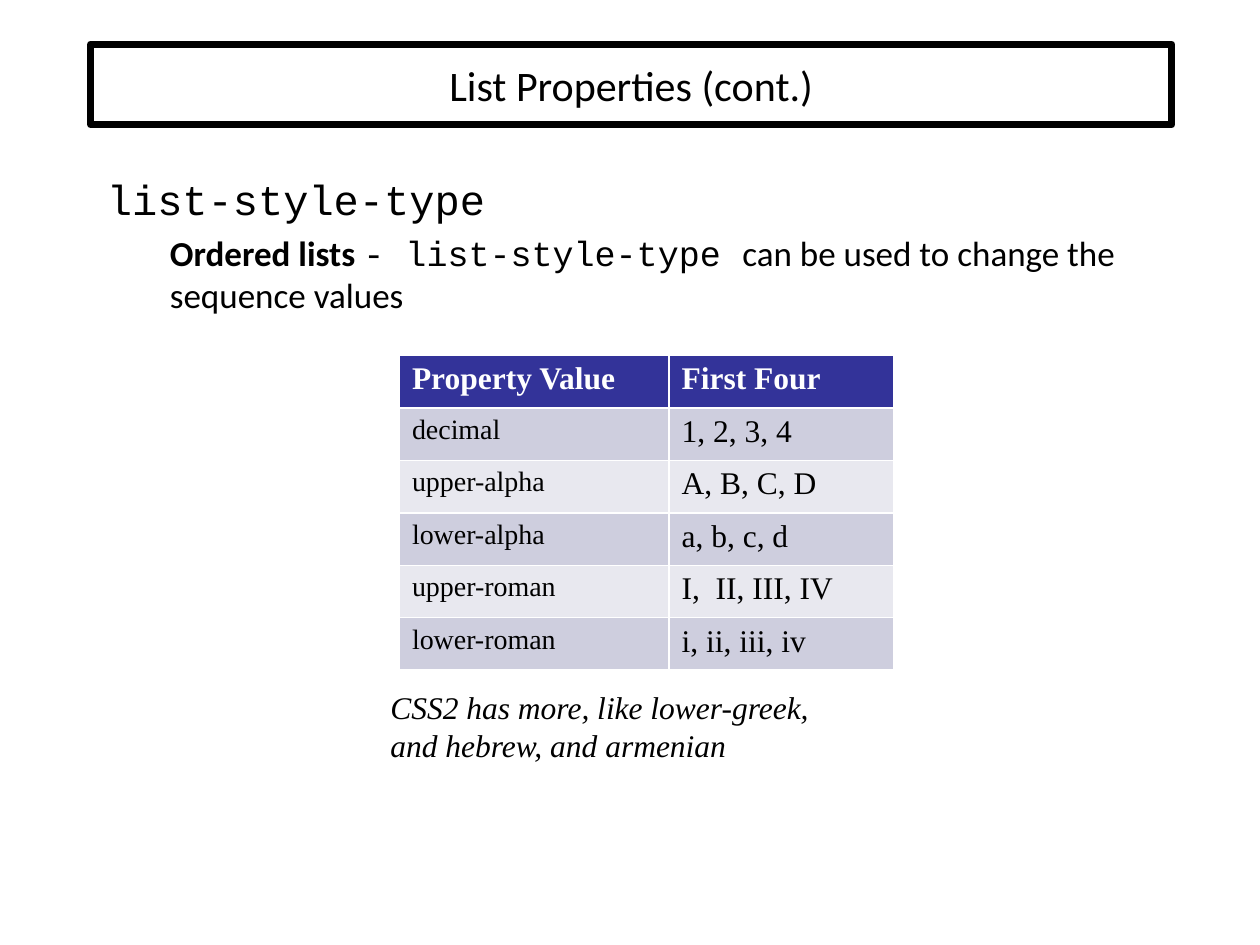
from pptx import Presentation
from pptx.dml.color import RGBColor
from pptx.enum.text import MSO_ANCHOR, PP_ALIGN
from pptx.util import Inches, Pt

# Content
TITLE = "List Properties (cont.)"
# Each paragraph: left indent in inches, size name, runs of (text, font name, bold)
BODY = [
    (0, "heading", [("list-style-type", "code", False)]),
    (0.5, "body", [
        ("Ordered lists ", "sans", True),
        ("- list-style-type ", "code", False),
        ("can be used to change the sequence values", "sans", False),
    ]),
]
VALUES = [
    ("Property Value", "First Four"),
    ("decimal", "1, 2, 3, 4"),
    ("upper-alpha", "A, B, C, D"),
    ("lower-alpha", "a, b, c, d"),
    ("upper-roman", "I,  II, III, IV"),
    ("lower-roman", "i, ii, iii, iv"),
]
FOOTNOTE = "CSS2 has more, like lower-greek, and hebrew, and armenian"

THEME = {
    "font": {"sans": "Calibri", "code": "Courier New", "serif": "Times New Roman"},
    "size": {"heading": 24, "body": 20, "table": 18, "keyword": 16},
    "color": {"ink": "000000", "paper": "FFFFFF", "header": "333399",
              "odd": "CECEDE", "even": "E8E8EF"},
}
COLUMN_WIDTHS = (2.14, 1.78)
ROW_HEIGHT = 2.5 / len(VALUES)


def color(name):
    return RGBColor.from_string(THEME["color"][name])


def style(run, font, size, ink="ink", bold=False, italic=False):
    run.font.name = THEME["font"][font]
    run.font.size = Pt(THEME["size"][size])
    run.font.color.rgb = color(ink)
    run.font.bold = bold
    run.font.italic = italic


def place(shape, left, top, width, height):
    shape.left, shape.top = Inches(left), Inches(top)
    shape.width, shape.height = Inches(width), Inches(height)


def add_text_box(slide, *box):
    frame = slide.shapes.add_textbox(*map(Inches, box)).text_frame
    frame.word_wrap = True
    return frame


def add_title(slide):
    title = slide.shapes.title
    place(title, 0.72, 0.35, 8.58, 0.64)
    title.fill.solid()
    title.fill.fore_color.rgb = color("paper")
    title.line.color.rgb = color("ink")
    title.line.width = Pt(4)
    title.text_frame.text = TITLE
    title.text_frame.vertical_anchor = MSO_ANCHOR.MIDDLE
    heading = title.text_frame.paragraphs[0]
    heading.alignment = PP_ALIGN.CENTER
    style(heading.runs[0], "sans", "heading")


def add_body(slide):
    frame = add_text_box(slide, 0.75, 1.33, 8.5, 4.5)
    for index, (indent, size, runs) in enumerate(BODY):
        paragraph = frame.add_paragraph() if index else frame.paragraphs[0]
        paragraph.space_before = Pt(0.2 * THEME["size"][size])
        paragraph._p.get_or_add_pPr().set("marL", str(Inches(indent)))
        for text, font, bold in runs:
            run = paragraph.add_run()
            run.text = text
            style(run, font, size, bold=bold)


def add_values_table(slide):
    table = slide.shapes.add_table(
        len(VALUES), len(COLUMN_WIDTHS), Inches(3.17), Inches(2.82),
        Inches(sum(COLUMN_WIDTHS)), Inches(ROW_HEIGHT * len(VALUES))).table
    for column, width in zip(table.columns, COLUMN_WIDTHS):
        column.width = Inches(width)
    for r, row in enumerate(VALUES):
        is_header = r == 0
        band = "header" if is_header else ("odd" if r % 2 else "even")
        for c, text in enumerate(row):
            cell = table.cell(r, c)
            cell.fill.solid()
            cell.fill.fore_color.rgb = color(band)
            cell.text_frame.text = text
            style(cell.text_frame.paragraphs[0].runs[0], "serif",
                  "table" if is_header or c else "keyword",
                  ink="paper" if is_header else "ink", bold=is_header)


def add_footnote(slide):
    frame = add_text_box(slide, 3, 5.41, 3.83, 0.65)
    frame.text = FOOTNOTE
    style(frame.paragraphs[0].runs[0], "serif", "table", italic=True)


def main():
    deck = Presentation()
    deck.slide_width, deck.slide_height = Inches(10), Inches(7.5)
    slide = deck.slides.add_slide(deck.slide_layouts.get_by_name("Title Only"))
    add_title(slide)
    add_body(slide)
    add_values_table(slide)
    add_footnote(slide)
    deck.save("out.pptx")


if __name__ == "__main__":
    main()
